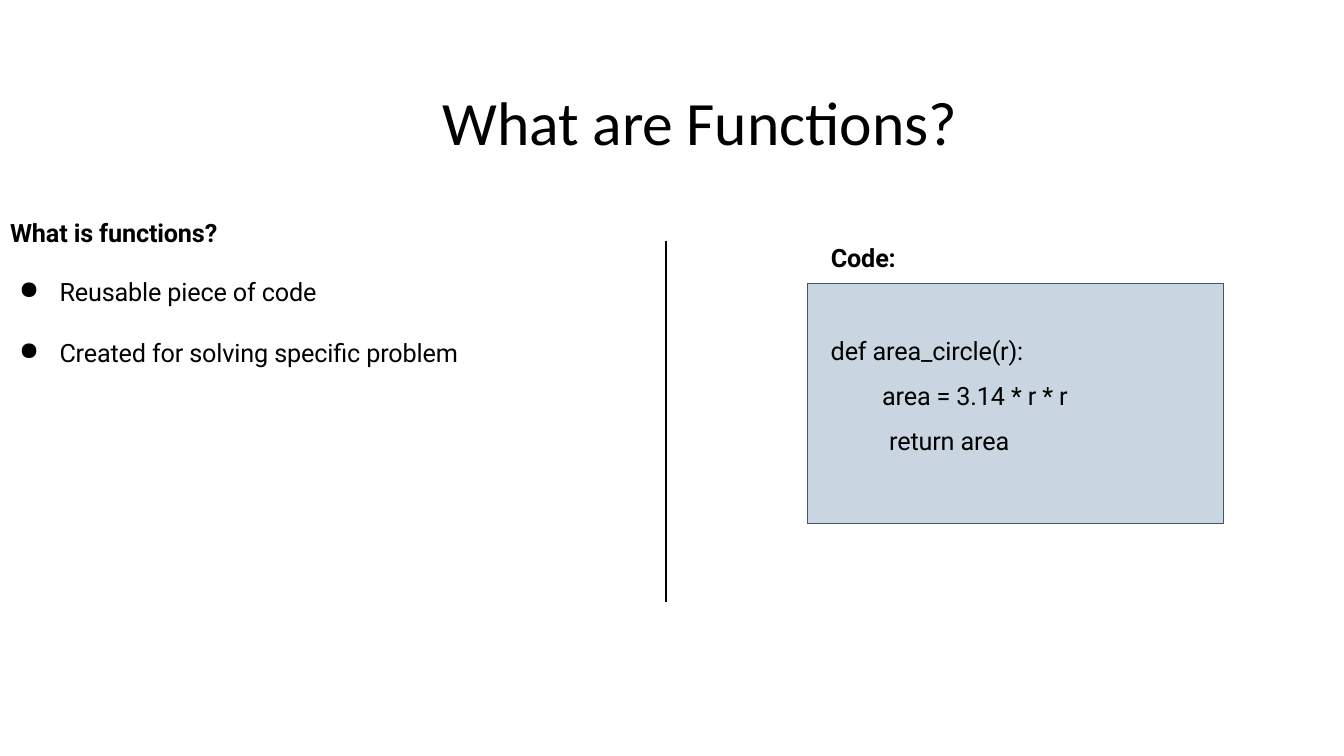
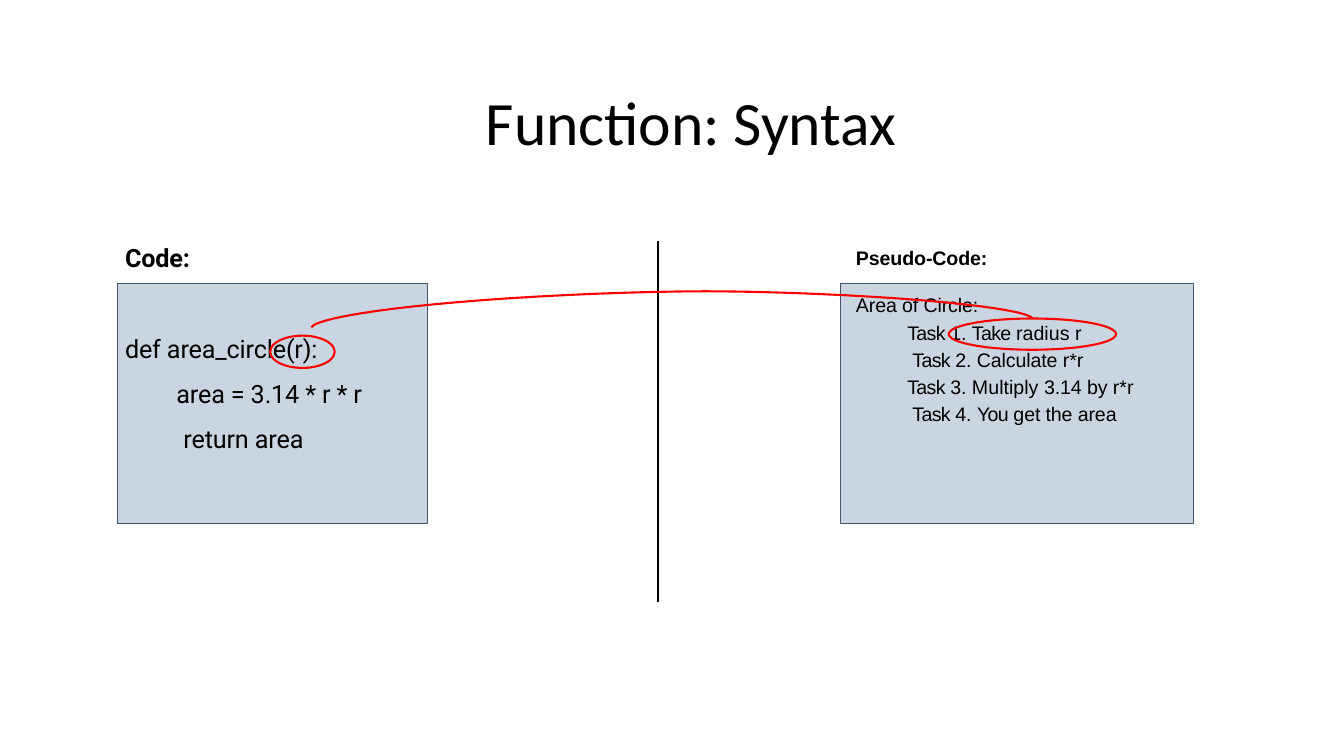
from math import cos, pi, sin

from lxml.etree import SubElement
from pptx import Presentation
from pptx.dml.color import RGBColor
from pptx.enum.shapes import MSO_CONNECTOR, MSO_SHAPE
from pptx.enum.text import MSO_ANCHOR, PP_ALIGN
from pptx.oxml.ns import qn
from pptx.util import Inches, Pt

HUES = {"ink": "000000", "panel": "0B4679", "edge": "445469", "mark": "FF0000"}
TITLE = {"name": "Calibri", "size": Pt(44)}
BODY = {"name": "Roboto", "size": Pt(18)}
HEAD = {**BODY, "bold": True}
SMALL = {"name": "Arial", "size": Pt(14)}
TIGHT = -0.5  # letter spacing in points
NORMAL = -0.1

CODE = [
    (0, "def area_circle(r):"),
    (0.51, "area = 3.14 * r * r"),
    (0.58, "return area"),
]
STEPS = [
    (0, "Area of Circle:"),
    (0.51, [("Task ", TIGHT), ("1. ", NORMAL), ("Take ", TIGHT), ("radius r", 0)]),
    (0.56, [("Task ", TIGHT), ("2. Calculate ", NORMAL), ("r*r", 0)]),
    (0.51, [("Task ", TIGHT), ("3. ", NORMAL), ("Multiply ", 0),
            ("3.14 by ", NORMAL), ("r*r", 0)]),
    (0.56, [("Task ", TIGHT), ("4. ", NORMAL), ("You ", TIGHT),
            ("get the area", NORMAL)]),
]


def hue(name):
    return RGBColor.from_string(HUES[name])


def apply(target, style):
    for key, value in style.items():
        setattr(target, key, value)


def set_frame(frame, left=0, top=0.01, anchor=MSO_ANCHOR.TOP, wrap=True):
    apply(frame, {
        "margin_left": Inches(left), "margin_top": Inches(top),
        "margin_right": 0, "margin_bottom": 0,
        "vertical_anchor": anchor, "word_wrap": wrap,
    })


def write(para, text, font, indent=0, **form):
    """Fill a paragraph; text is a string or a list of (words, spacing)."""
    apply(para, {"alignment": PP_ALIGN.LEFT, **form})
    para._p.get_or_add_pPr().set("marL", str(Inches(indent)))
    for words, gap in [(text, NORMAL)] if isinstance(text, str) else text:
        run = para.add_run()
        run.text = words
        apply(run.font, font)
        run.font.color.rgb = hue("ink")
        run._r.get_or_add_rPr().set("spc", str(round(gap * 100)))


def add_bullet(para):
    props = para._p.get_or_add_pPr()
    props.set("indent", str(Inches(-0.4)))
    SubElement(props, qn("a:buChar")).set("char", "●")


def add_label(slide, box, text, font, anchor=MSO_ANCHOR.TOP):
    frame = slide.shapes.add_textbox(*map(Inches, box)).text_frame
    set_frame(frame, anchor=anchor, wrap=False)
    write(frame.paragraphs[0], text, font)


def add_title(slide, left, width, text):
    add_label(slide, (left, 0.82, width, 0.75), text, TITLE, MSO_ANCHOR.MIDDLE)


def style_line(line, color, width):
    line.color.rgb = hue(color)
    line.width = Pt(width)


def add_rule(slide, x):
    rule = slide.shapes.add_connector(
        MSO_CONNECTOR.STRAIGHT, *map(Inches, (x, 2.39, x, 5.97)))
    style_line(rule.line, "ink", 1.5)
    SubElement(rule._element.spPr, qn("a:effectLst"))


def add_panel(slide, left, width, pad, top, lines, font, form):
    """Tinted box holding indented lines, pad and top being its insets."""
    panel = slide.shapes.add_shape(
        MSO_SHAPE.RECTANGLE, *map(Inches, (left, 2.81, width, 2.38)))
    panel.shadow.inherit = False
    panel.fill.solid()
    panel.fill.fore_color.rgb = hue("panel")
    color = panel._element.spPr.find(qn("a:solidFill"))[0]
    SubElement(color, qn("a:alpha")).set("val", "22000")
    style_line(panel.line, "edge", 0.75)
    frame = panel.text_frame
    set_frame(frame, pad, top)
    for i, (indent, text) in enumerate(lines):
        para = frame.add_paragraph() if i else frame.paragraphs[0]
        write(para, text, font, indent, **(form if i or font is BODY else {}))


def add_code(slide, left, width, pad, top):
    add_label(slide, (left + pad, 2.39, 0.68, 0.33), "Code:", HEAD)
    add_panel(slide, left, width, pad, top, CODE, BODY, {"line_spacing": 1.49})


def add_steps(slide, left, width, pad):
    add_label(slide, (left + pad, 2.43, 1.34, 0.26), "Pseudo-Code:",
              {**SMALL, "bold": True})
    add_panel(slide, left, width, pad, 0.1, STEPS, SMALL, {"line_spacing": 1.16})


def add_points(slide, box, head, points):
    frame = slide.shapes.add_textbox(*map(Inches, box)).text_frame
    set_frame(frame)
    write(frame.paragraphs[0], head, HEAD, 0.01)
    for text, gap in points:
        para = frame.add_paragraph()
        write(para, text, BODY, 0.5, space_before=Pt(gap))
        add_bullet(para)


def outline(shape):
    shape.shadow.inherit = False
    shape.fill.background()
    style_line(shape.line, "mark", 1.5)


def add_ring(slide, *box):
    outline(slide.shapes.add_shape(MSO_SHAPE.OVAL, *map(Inches, box)))


def add_arch(slide, start, peak, end, count=60):
    """Flat arch of two quarter superellipses that meet at the peak."""
    power = 2 / 1.7
    points = []
    for i in range(count + 1):
        angle = pi * i / count
        foot = start if 2 * i < count else end
        across = abs(cos(angle)) ** power
        rise = abs(sin(angle)) ** power
        points.append((Inches(peak[0] + (foot[0] - peak[0]) * across),
                       Inches(foot[1] + (peak[1] - foot[1]) * rise)))
    path = slide.shapes.build_freeform(*points[0])
    path.add_line_segments(points[1:], close=False)
    outline(path.convert_to_shape())


def build_intro(slide):
    add_title(slide, 4.39, 5.36, "What are Functions?")
    add_points(slide, (0.09, 2.15, 4.51, 1.54), "What is functions?", [
        ("Reusable piece of code", 20),
        ("Created for solving speciﬁc problem", 22),
    ])
    add_rule(slide, 6.61)
    add_code(slide, 8.01, 4.13, 0.23, 0.37)


def build_syntax(slide):
    add_title(slide, 4.82, 4.1, "Function: Syntax")
    add_rule(slide, 6.53)
    add_code(slide, 1.17, 3.07, 0.07, 0.35)
    add_steps(slide, 8.34, 3.5, 0.15)
    add_ring(slide, 2.68, 3.33, 0.64, 0.32)
    add_ring(slide, 9.41, 3.16, 1.66, 0.31)
    add_arch(slide, (3.09, 3.25), (7, 2.89), (10.24, 3.16))


def main():
    deck = Presentation()
    deck.slide_width, deck.slide_height = Inches(13.33), Inches(7.5)
    for build in (build_intro, build_syntax):
        build(deck.slides.add_slide(deck.slide_layouts[6]))
    deck.save("out.pptx")


if __name__ == "__main__":
    main()
